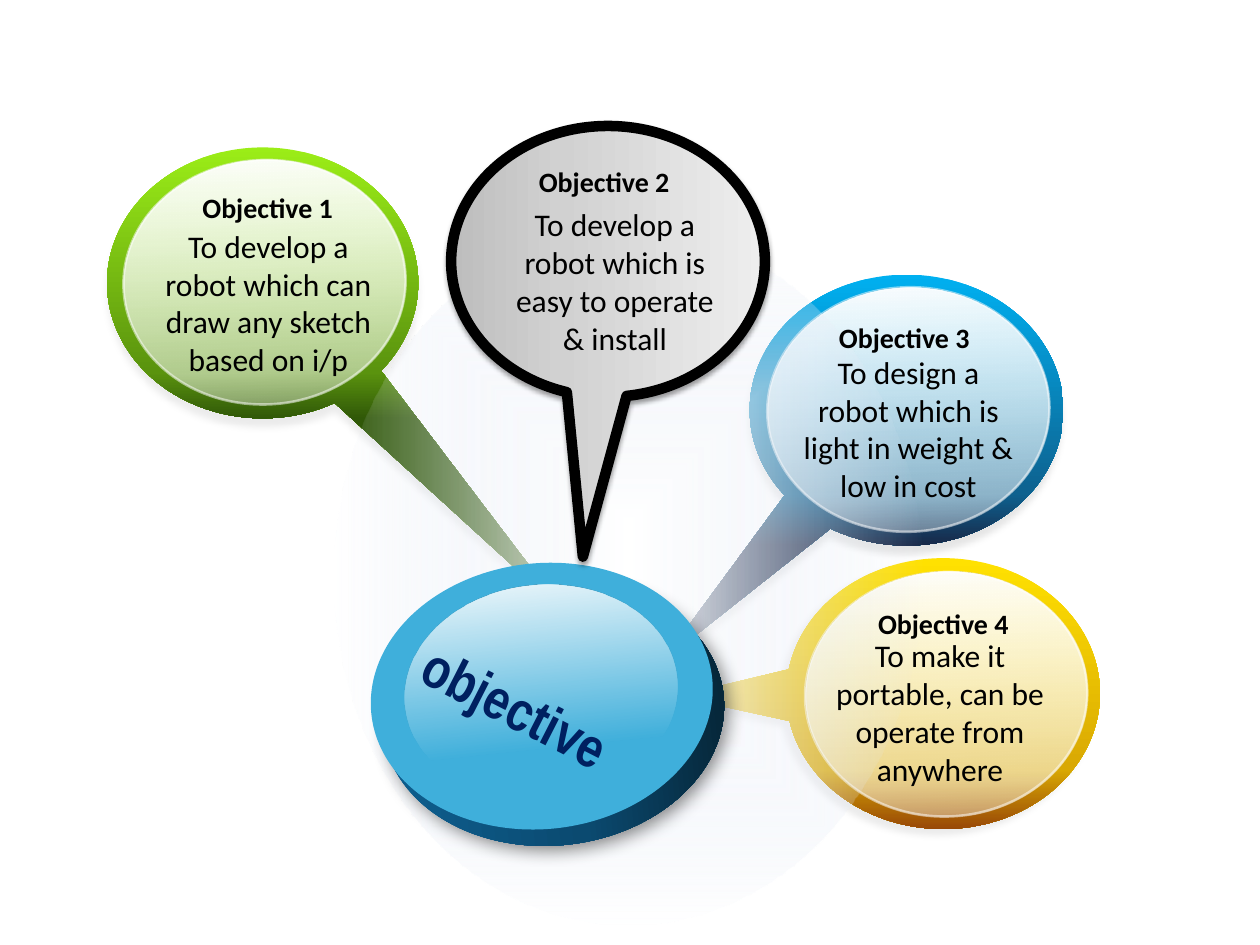
from dataclasses import dataclass

import pptx
import pptx.util
from lxml import etree
from pptx.dml.color import RGBColor
from pptx.enum.shapes import MSO_SHAPE
from pptx.enum.text import MSO_ANCHOR, PP_ALIGN
from pptx.oxml.ns import qn
from pptx.util import Inches

Box = tuple[float, float, float, float]
Stop = tuple[int, str, int]  # position %, colour, opacity %
GLASS: list[Stop] = [(0, "FFFFFF", 100), (83, "FFFFFF", 52), (100, "FFFFFF", 31)]


@dataclass
class Shadow:
    color: str
    alpha: float
    blur: float
    dist: float
    angle: float


@dataclass
class Bubble:
    box: Box
    tail: tuple[float, float]
    stops: list[Stop]
    title: str
    title_box: Box
    body: str
    body_at: tuple[float, float]
    shadow: Shadow
    glass_at: tuple[float, float] | None = None
    rotation: float = 270
    flips: tuple[str, ...] = ("flipV",)
    fill_angle: float = 180
    outline: float = 0
    title_align: PP_ALIGN = PP_ALIGN.LEFT


def rgb(color: str) -> RGBColor:
    return RGBColor.from_string(color)


def add_color(parent, color: str, alpha: float):
    clr = etree.SubElement(parent, qn("a:srgbClr"), val=color)
    if alpha < 100:
        etree.SubElement(clr, qn("a:alpha"), val=str(int(alpha * 1000)))


def set_gradient(sp, stops: list[Stop], angle: float | None):
    """Linear gradient at an angle, or one from the centre if angle is None."""
    sp.fill.background()
    old = sp.element.spPr.find(qn("a:noFill"))
    grad = etree.Element(qn("a:gradFill"), rotWithShape="1")
    gs_list = etree.SubElement(grad, qn("a:gsLst"))
    for pos, color, alpha in stops:
        gs = etree.SubElement(gs_list, qn("a:gs"), pos=str(pos * 1000))
        add_color(gs, color, alpha)
    if angle is None:
        path = etree.SubElement(grad, qn("a:path"), path="shape")
        etree.SubElement(path, qn("a:fillToRect"), l="50000", t="50000", r="50000", b="50000")
    else:
        etree.SubElement(grad, qn("a:lin"), ang=str(int(angle * 60000)), scaled="0")
    sp.element.spPr.replace(old, grad)


def set_shadow(sp, sh: Shadow):
    effects = sp.element.spPr.find(qn("a:effectLst"))
    outer = etree.SubElement(
        effects, qn("a:outerShdw"), blurRad=str(int(sh.blur * 12700)),
        dist=str(int(sh.dist * 12700)), dir=str(int(sh.angle * 60000)),
        algn="ctr", rotWithShape="0")
    add_color(outer, sh.color, sh.alpha)


def add_shape(s, kind, box: Box, rotation: float = 0):
    sp = s.shapes.add_shape(kind, *map(Inches, box))
    sp.rotation = rotation
    sp.shadow.inherit = False
    sp.line.fill.background()
    return sp


def add_text(s, box: Box, text: str, size: float, font: str = "Calibri",
             color: str = "000000", bold: bool = False,
             align: PP_ALIGN = PP_ALIGN.CENTER, middle: bool = False):
    sp = s.shapes.add_textbox(*map(Inches, box))
    tf = sp.text_frame
    tf.word_wrap = True
    tf.vertical_anchor = MSO_ANCHOR.MIDDLE if middle else MSO_ANCHOR.TOP
    p = tf.paragraphs[0]
    p.alignment = align
    r = p.add_run()
    r.text = text
    r.font.name, r.font.size, r.font.bold = font, pptx.util.Pt(size), bold
    r.font.color.rgb = rgb(color)
    return sp


def add_bubble(s, b: Bubble):
    sp = add_shape(s, MSO_SHAPE.OVAL_CALLOUT, b.box, b.rotation)
    for flip in b.flips:
        sp.element.spPr.find(qn("a:xfrm")).set(flip, "1")
    sp.adjustments[0], sp.adjustments[1] = b.tail
    set_gradient(sp, b.stops, b.fill_angle)
    set_shadow(sp, b.shadow)
    if b.outline:
        sp.line.color.rgb = rgb("000000")
        sp.line.width = pptx.util.Pt(b.outline)
    if b.glass_at:
        glass = add_shape(s, MSO_SHAPE.CHORD, (*b.glass_at, 1.94, 2.24), 267.2)
        glass.adjustments[0], glass.adjustments[1] = 97.56, 97.2
        set_gradient(glass, GLASS, 180)
        glass.line.color.rgb = rgb("FFFFFF")
        glass.line.width = pptx.util.Pt(1.5)
        clr = glass.line._ln.find(".//" + qn("a:srgbClr"))
        etree.SubElement(clr, qn("a:alpha"), val="49000")


def add_bubble_text(s, b: Bubble):
    title = add_text(s, b.title_box, b.title, 16, bold=True,
                     align=b.title_align, middle=True)
    p = title.text_frame.paragraphs[0]
    p.line_spacing = 1.1
    p._p.get_or_add_pPr().set("marL", str(Inches(0.44)))
    add_text(s, (*b.body_at, 1.92, 1.31), b.body, 18)


def add_disc(s):
    glow = add_shape(s, MSO_SHAPE.OVAL, (2.65, 1.81, 4.67, 5.53))
    set_gradient(glow, [(0, "FFFFFF", 100), (100, "E1E8F5", 0)], None)
    # Thick edge, face and shine
    edge = add_shape(s, MSO_SHAPE.OVAL, (3.03, 4.61, 2.72, 2.1), -6)
    set_gradient(edge, [(0, "0E6193", 100), (55, "0B4A70", 100), (100, "05202F", 100)], 0)
    set_shadow(edge, Shadow("000000", 45, 10, 3, 45))
    face = add_shape(s, MSO_SHAPE.OVAL, (2.94, 4.47, 2.72, 2.11), -6)
    face.fill.solid()
    face.fill.fore_color.rgb = rgb("3FAFDB")
    shine = add_shape(s, MSO_SHAPE.OVAL, (3.21, 4.64, 2.17, 1.7), -6)
    set_gradient(shine, [(0, "FFFFFF", 0), (29, "FFFFFF", 0), (100, "FFFFFF", 100)], 270)
    label = add_text(s, (2.72, 4.97, 2.75, 1.26), "objective", 32,
                     "Arial Narrow", "002060", True, middle=True)
    label.rotation = 27


GREEN = Bubble(
    (1.01, 1.01, 2.15, 2.47), (-1.23, 0.98),
    [(0, "9BED17", 100), (83, "5A930E", 100), (100, "305808", 100)],
    "Objective 1", (1, 1.46, 1.81, 0.35),
    "To develop a robot which can draw any sketch based on i/p", (1.17, 1.75),
    Shadow("000000", 8, 4, 5, 90), (1.13, 1.12), rotation=90,
    flips=("flipH", "flipV"), title_align=PP_ALIGN.CENTER)
GRAY = Bubble(
    (3.75, 0.83, 2.15, 2.49), (-1.09, 0.08),
    [(0, "BDBDBD", 100), (35, "D1D1D1", 100), (100, "EEEEEE", 100)],
    "Objective 2", (3.67, 1.25, 1.81, 0.35),
    "To develop a robot which is easy to operate & install", (3.92, 1.58),
    Shadow("000000", 38, 3.1, 1.6, 90), fill_angle=270, outline=6,
    title_align=PP_ALIGN.CENTER)
BLUE = Bubble(
    (6.12, 2.01, 2.15, 2.49), (-0.93, 0.78),
    [(0, "00B0F0", 100), (81, "0E618F", 100), (100, "182848", 100)],
    "Objective 3", (6.12, 2.49, 2.45, 0.35),
    "To design a robot which is light in weight & low in cost", (6.25, 2.75),
    Shadow("000000", 9, 4, 5, 100), (6.24, 2.13))
YELLOW = Bubble(
    (6.41, 4.26, 2.15, 2.49), (-0.01, 0.85),
    [(0, "FFE101", 100), (78, "D9A803", 100), (100, "984807", 100)],
    "Objective 4", (6.43, 4.76, 2.01, 0.35),
    "To make it portable, can be operate from anywhere", (6.5, 5),
    Shadow("000000", 8, 4, 5, 140), (6.54, 4.39))


def main():
    prs = pptx.Presentation()
    prs.slide_width, prs.slide_height = Inches(10), Inches(7.5)
    s = prs.slides.add_slide(prs.slide_layouts[6])

    # Coloured bubbles lie behind the disc's glow, the gray one in front
    for bubble in (YELLOW, GREEN, BLUE):
        add_bubble(s, bubble)
    add_disc(s)
    add_bubble(s, GRAY)

    # Wording on top
    for bubble in (GREEN, GRAY, BLUE, YELLOW):
        add_bubble_text(s, bubble)
    prs.save("out.pptx")


if __name__ == "__main__":
    main()
